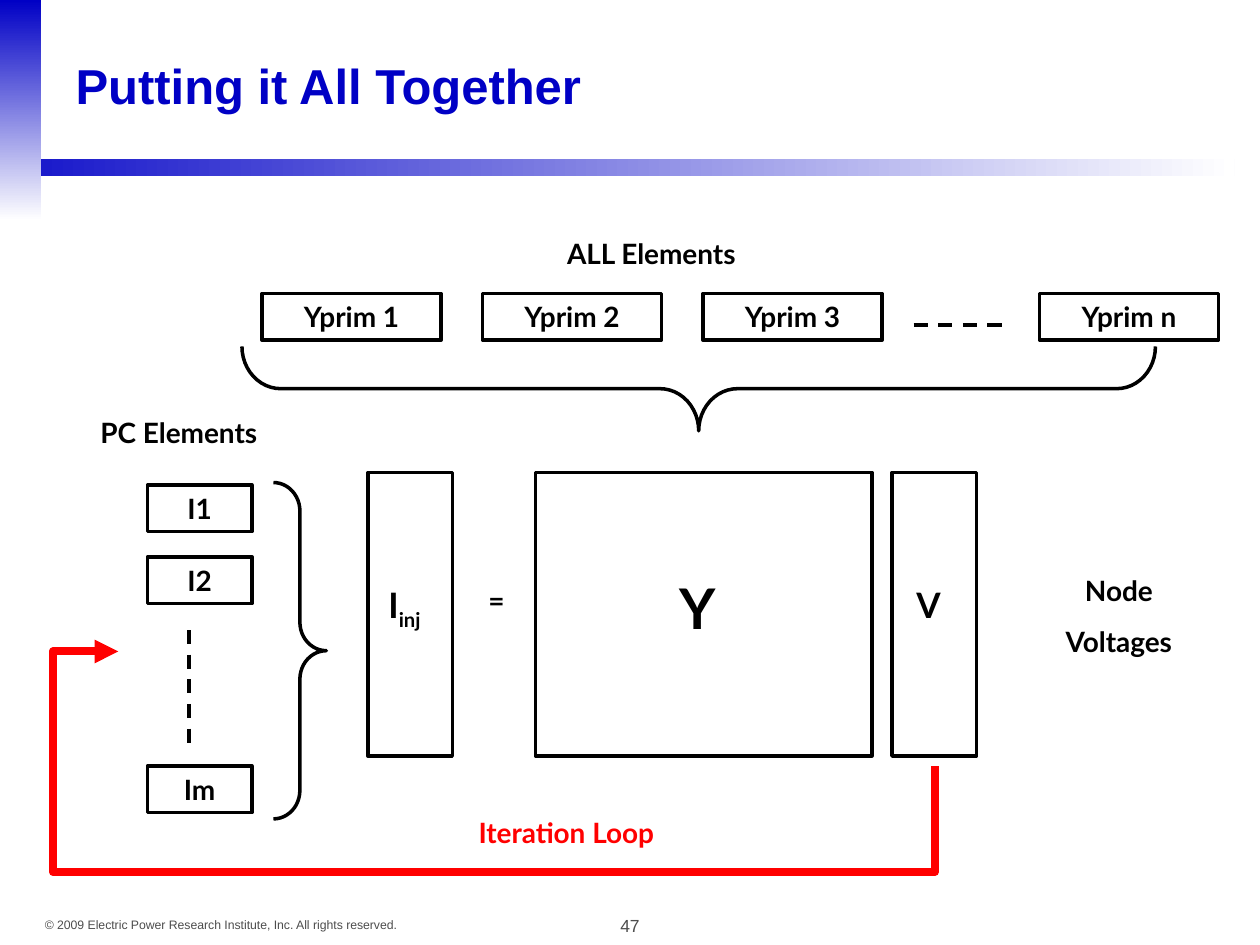
from lxml.etree import SubElement
from pptx import Presentation
from pptx.dml.color import RGBColor
from pptx.enum.dml import MSO_LINE
from pptx.enum.shapes import MSO_CONNECTOR, MSO_SHAPE
from pptx.enum.text import MSO_ANCHOR, PP_ALIGN
from pptx.oxml.ns import qn
from pptx.util import Inches, Pt

COLORS = {"blue": "0000C5", "bar": "1919CB", "white": "FFFFFF",
          "black": "000000", "red": "FF0000", "gray": "4D4D4D"}
TITLE = "Putting it All Together"
COPYRIGHT = "© 2009 Electric Power Research Institute, Inc. All rights reserved."
PAGE = "47"

BANDS = [((0.25, 1.26, 9.55, 0.14), ("bar", "white"), 0),
         ((0, 0, 0.33, 1.75), ("blue", "white"), 270)]
YPRIM_TOP, YPRIM_SIZE = 2.33, (1.42, 0.37)
YPRIMS = [(f"Yprim {n}", 2.08 + 1.75 * i) for i, n in enumerate((1, 2, 3))]
YPRIMS.append(("Yprim n", 8.25))
CURRENT_LEFT, CURRENT_SIZE = 1.17, (0.83, 0.37)
CURRENTS = [("I1", 3.85), ("I2", 4.42), ("Im", 6.08)]
MATRIX_TOP, MATRIX_HEIGHT = 3.75, 2.25
MATRICES = [(2.92, 0.67), (4.25, 2.67), (7.08, 0.67)]
LABELS = [("ALL Elements", (4.17, 1.83, 2, 0.37), 16, "black"),
          ("PC Elements", (0.42, 3.25, 2, 0.37), 16, "black"),
          ("Y", (5, 4.5, 1.08, 0.64), 32, "black"),
          ("=", (3.54, 4.58, 0.8, 0.37), 16, "black"),
          ("V", (6.83, 4.58, 1.08, 0.44), 20, "black"),
          ("Node\nVoltages", (8.17, 4.5, 1.42, 0.77), 16, "black"),
          ("Iteration Loop", (3.33, 6.42, 2.33, 0.37), 16, "red")]
INJECTION = ("I", "inj", (2.67, 4.58, 1.08, 0.48))
DASHES = [(7.25, 2.58, 8, 2.58), (1.5, 5, 1.5, 5.92)]
BRACES = [((2.17, 3.83, 0.42, 2.67), 0, 0.54),
          ((5.21, -0.54, 0.67, 7.25), 90, 0.46)]
LOOP = [(7.42, 6.08), (7.42, 6.92), (0.42, 6.92), (0.42, 5.17), (0.94, 5.17)]


def rgb(name):
    return RGBColor.from_string(COLORS[name])


def box(at):
    return [Inches(v) for v in at]


def style_line(line, color="black", width=2):
    line.color.rgb = rgb(color)
    line.width = Pt(width)


def write(sp, text, size, color="black", font="Lato", bold=True,
          align=PP_ALIGN.CENTER, anchor=MSO_ANCHOR.TOP, wrap=True):
    tf = sp.text_frame
    tf.word_wrap = wrap
    tf.vertical_anchor = anchor
    tf.text = text
    for i, p in enumerate(tf.paragraphs):
        p.alignment = align
        if i:
            p.space_before = Pt(10)
        for r in p.runs:
            r.font.name, r.font.size, r.font.bold = font, Pt(size), bold
            r.font.color.rgb = rgb(color)
    return tf


def add_outline(s, kind, at):
    sp = s.shapes.add_shape(kind, *box(at))
    sp.shadow.inherit = False
    sp.fill.background()
    style_line(sp.line)
    return sp


def add_label(s, text, at, size, color="black", **kw):
    return write(s.shapes.add_textbox(*box(at)), text, size, color, **kw)


def add_band(s, at, colors, angle):
    sp = s.shapes.add_shape(MSO_SHAPE.RECTANGLE, *box(at))
    sp.shadow.inherit = False
    sp.line.fill.background()
    sp.fill.gradient()
    sp.fill.gradient_angle = angle
    for stop, color in zip(sp.fill.gradient_stops, colors):
        stop.color.rgb = rgb(color)


def add_dashes(s, ends):
    line = s.shapes.add_connector(MSO_CONNECTOR.STRAIGHT, *box(ends))
    style_line(line.line)
    line.line.dash_style = MSO_LINE.DASH
    SubElement(line._element.spPr, qn("a:effectLst"))


def add_loop(s):
    start, *rest = [tuple(box(pt)) for pt in LOOP]
    builder = s.shapes.build_freeform(*start)
    builder.add_line_segments(rest, close=False)
    sp = builder.convert_to_shape()
    sp.shadow.inherit = False
    sp.fill.background()
    style_line(sp.line, "red", 4.5)
    SubElement(sp.line._get_or_add_ln(), qn("a:tailEnd"), type="triangle")


def main():
    """Build the slide that assembles the circuit solution loop."""
    prs = Presentation()
    prs.slide_width, prs.slide_height = Inches(10), Inches(7.5)
    s = prs.slides.add_slide(prs.slide_layouts[5])
    for band in BANDS:
        add_band(s, *band)
    title = s.shapes.title
    title.left, title.top, title.width, title.height = box((0.5, 0.2, 9, 1))
    tf = write(title, TITLE, 28, "blue", "Arial",
               align=PP_ALIGN.LEFT, anchor=MSO_ANCHOR.MIDDLE)
    tf.paragraphs[0].line_spacing = 0.95
    add_label(s, PAGE, (4.67, 7.21, 0.66, 0.27), 10, "gray",
              font="Arial", bold=False)
    add_label(s, COPYRIGHT, (0.25, 7.23, 3, 0.22), 7, "gray", font="Arial",
              bold=False, align=PP_ALIGN.RIGHT, wrap=False)

    boxes = [(t, (x, YPRIM_TOP, *YPRIM_SIZE)) for t, x in YPRIMS]
    boxes += [(t, (CURRENT_LEFT, y, *CURRENT_SIZE)) for t, y in CURRENTS]
    for text, at in boxes:
        write(add_outline(s, MSO_SHAPE.RECTANGLE, at), text, 16)
    for left, width in MATRICES:
        add_outline(s, MSO_SHAPE.RECTANGLE,
                    (left, MATRIX_TOP, width, MATRIX_HEIGHT))
    for ends in DASHES:
        add_dashes(s, ends)
    for at, rotation, curve in BRACES:
        sp = add_outline(s, MSO_SHAPE.RIGHT_BRACE, at)
        sp.rotation = rotation
        sp.adjustments[0] = curve
    for label in LABELS:
        add_label(s, *label)

    symbol, subscript, at = INJECTION
    p = add_label(s, symbol, at, 20).paragraphs[0]
    r = p.add_run()
    r.text = subscript
    r.font.name, r.font.size, r.font.bold = "Lato", Pt(20), True
    r.font.color.rgb = rgb("black")
    r._r.get_or_add_rPr().set("baseline", "-25000")
    add_loop(s)
    prs.save("out.pptx")


if __name__ == "__main__":
    main()
